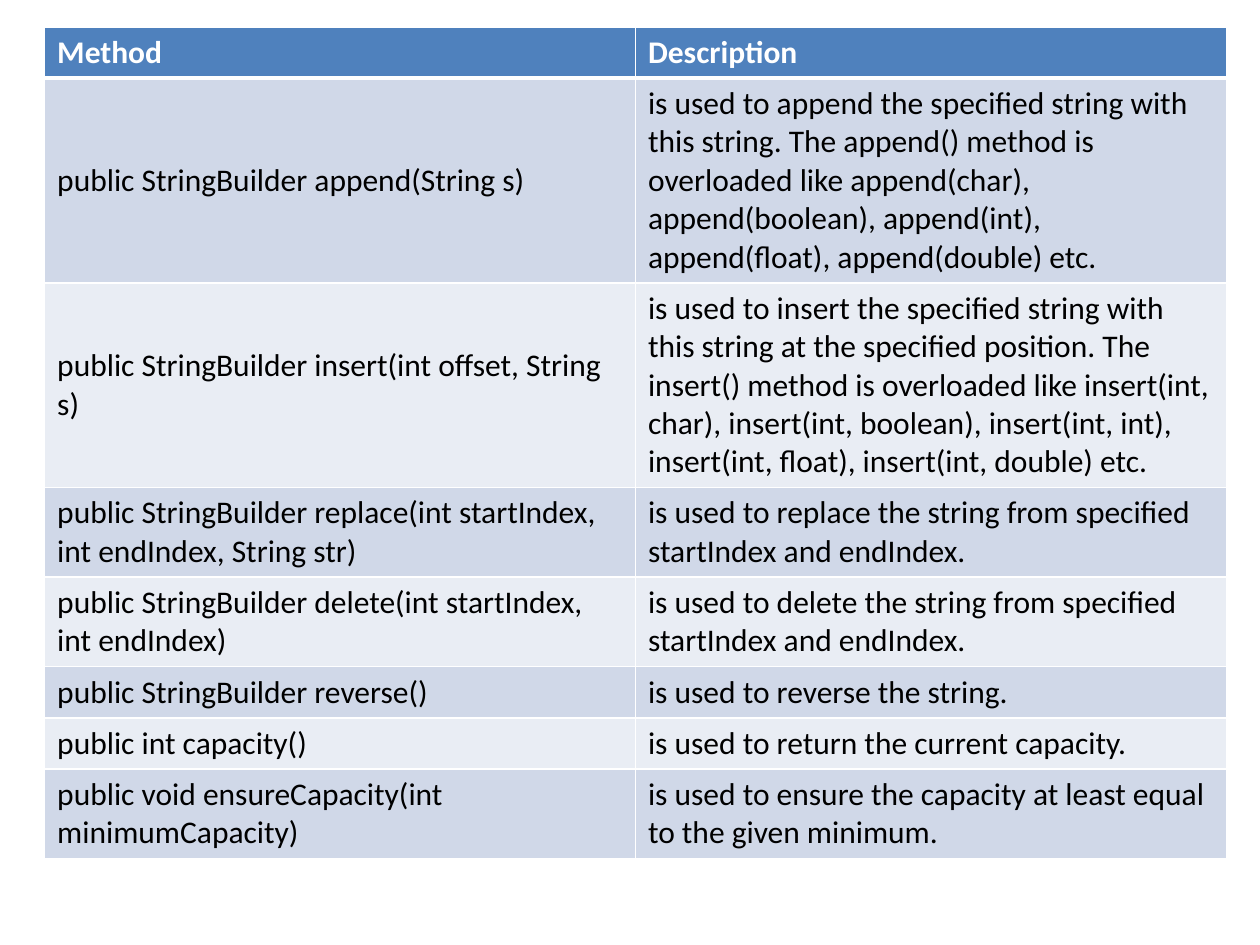
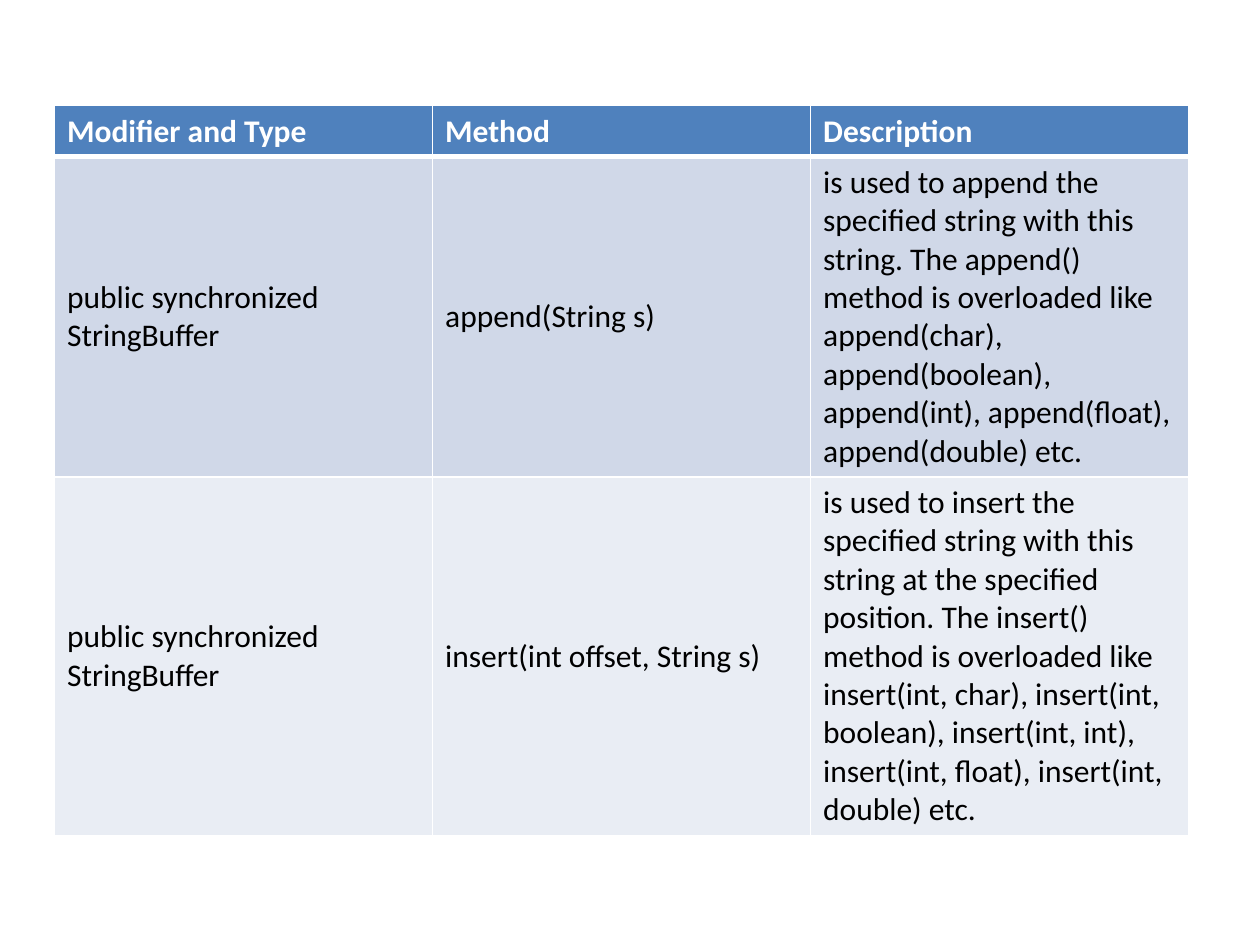
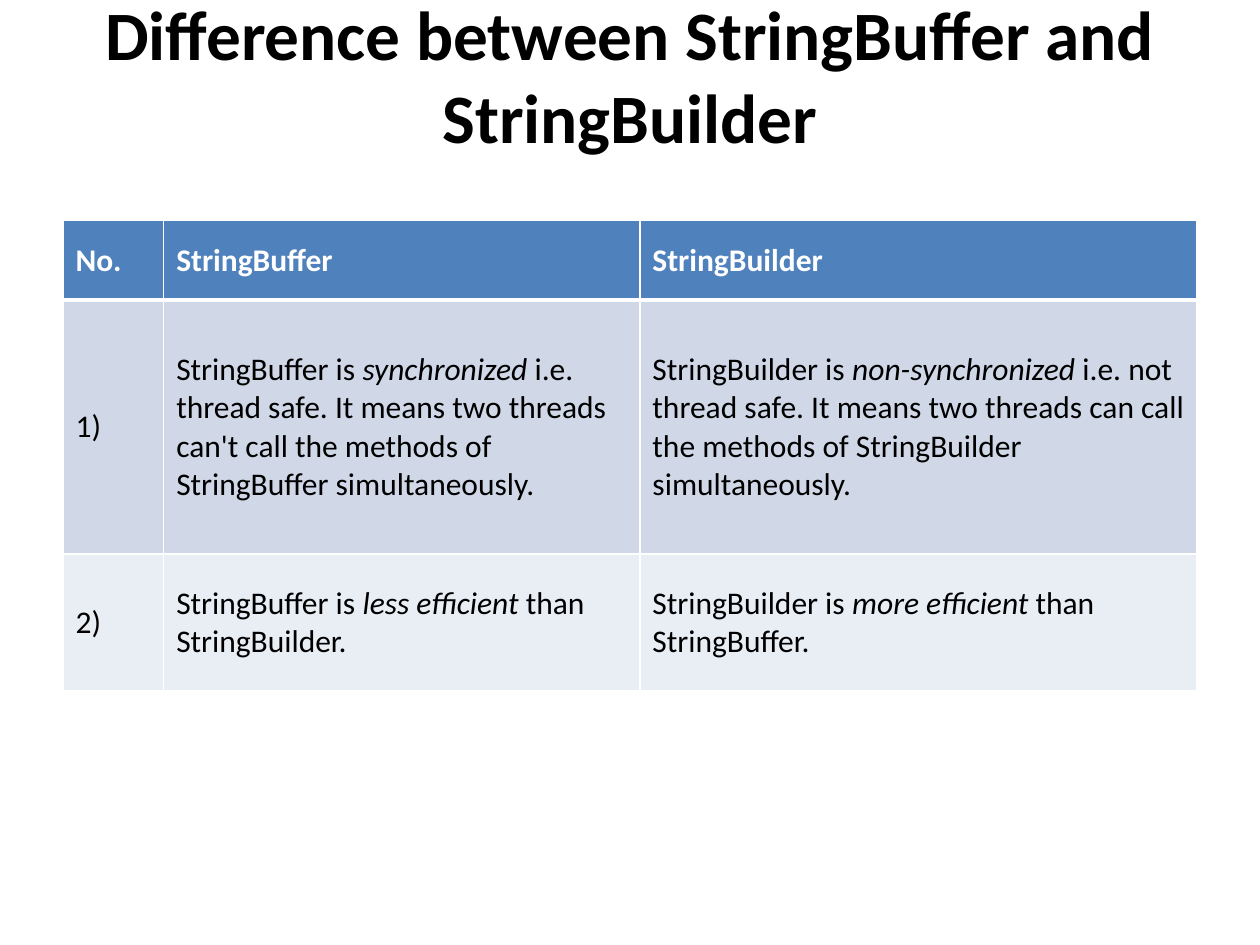
from dataclasses import dataclass

import pptx
import pptx.dml.color
import pptx.enum.text
import pptx.oxml.ns
import pptx.slide
import pptx.table
import pptx.util
from lxml import etree

Cm = pptx.util.Cm
Pt = pptx.util.Pt

COLORS = {
    "header": "4F81BD",
    "band_dark": "D0D8E8",
    "band_light": "E9EDF4",
    "white": "FFFFFF",
    "black": "000000",
}
FONT = "Calibri"
BODY_SIZE = 18
TITLE_SIZE = 39.6
THIN, THICK = 1, 3
ROW_HEIGHT = 1.03

APPEND_TEXT = (
    "is used to append the specified string with this string. The append() method is "
    "overloaded like append(char), append(boolean), append(int), append(float), "
    "append(double) etc."
)
INSERT_TEXT = (
    "is used to insert the specified string with this string at the specified position. "
    "The insert() method is overloaded like insert(int, char), insert(int, boolean), "
    "insert(int, int), insert(int, float), insert(int, double) etc."
)


@dataclass
class TableSpec:
    """Lengths are in centimetres; *asterisks* in a cell enclose italics."""
    left: float
    top: float
    height: float
    col_widths: list[float]
    row_heights: list[float]
    rows: list[list[str]]


BUILDER_METHODS = TableSpec(
    0.9, 0.54, 16.56, [11.91] * 2, [ROW_HEIGHT] * 8,
    [
        ["Method", "Description"],
        ["public StringBuilder append(String s)", APPEND_TEXT],
        ["public StringBuilder insert(int offset, String s)", INSERT_TEXT],
        ["public StringBuilder replace(int startIndex, int endIndex, String str)",
         "is used to replace the string from specified startIndex and endIndex."],
        ["public StringBuilder delete(int startIndex, int endIndex)",
         "is used to delete the string from specified startIndex and endIndex."],
        ["public StringBuilder reverse()", "is used to reverse the string."],
        ["public int capacity()", "is used to return the current capacity."],
        ["public void ensureCapacity(int minimumCapacity)",
         "is used to ensure the capacity at least equal to the given minimum."],
    ],
)
BUFFER_METHODS = TableSpec(
    1.1, 2.13, 14.5, [7.62] * 3, [ROW_HEIGHT] * 3,
    [
        ["Modifier and Type", "Method", "Description"],
        ["public synchronized StringBuffer", "append(String s)", APPEND_TEXT],
        ["public synchronized StringBuffer", "insert(int offset, String s)", INSERT_TEXT],
    ],
)
DIFFERENCES = TableSpec(
    1.27, 4.45, 9.47, [2.03, 9.6, 11.23], [1.6, 5.12, 2.76],
    [
        ["No.", "StringBuffer", "StringBuilder"],
        ["1)",
         "StringBuffer is *synchronized* i.e. thread safe. It means two threads can't call "
         "the methods of StringBuffer simultaneously.",
         "StringBuilder is *non-synchronized* i.e. not thread safe. It means two threads can "
         "call the methods of StringBuilder simultaneously."],
        ["2)",
         "StringBuffer is *less efficient* than StringBuilder.",
         "StringBuilder is *more efficient* than StringBuffer."],
    ],
)


def rgb(name: str) -> pptx.dml.color.RGBColor:
    return pptx.dml.color.RGBColor.from_string(COLORS[name])


def style_font(font, size: float, color: str, bold: bool) -> None:
    font.name = FONT
    font.size = Pt(size)
    font.bold = bold
    font.color.rgb = rgb(color)


def set_borders(cell, top: float, bottom: float) -> None:
    qn = pptx.oxml.ns.qn
    tc_pr = cell._tc.get_or_add_tcPr()
    for side, width in (("L", THIN), ("R", THIN), ("T", top), ("B", bottom)):
        ln = etree.SubElement(tc_pr, qn(f"a:ln{side}"), w=str(Pt(width)))
        fill = etree.SubElement(ln, qn("a:solidFill"))
        etree.SubElement(fill, qn("a:srgbClr"), val=COLORS["white"])


def fill_cell(cell, text: str, row: int) -> None:
    header = row == 0
    set_borders(cell, THICK if row == 1 else THIN, THICK if header else THIN)
    cell.fill.solid()
    band = "band_dark" if row % 2 else "band_light"
    cell.fill.fore_color.rgb = rgb("header" if header else band)
    cell.vertical_anchor = pptx.enum.text.MSO_ANCHOR.MIDDLE
    p = cell.text_frame.paragraphs[0]
    for i, part in enumerate(text.split("*")):
        r = p.add_run()
        r.text = part
        style_font(r.font, BODY_SIZE, "white" if header else "black", header)
        r.font.italic = i % 2 == 1


def draw_table(slide: pptx.slide.Slide, spec: TableSpec) -> None:
    frame = slide.shapes.add_table(
        len(spec.rows), len(spec.col_widths), Cm(spec.left), Cm(spec.top),
        Cm(sum(spec.col_widths)), Cm(spec.height))
    table = frame.table
    for column, width in zip(table.columns, spec.col_widths):
        column.width = Cm(width)
    for row, height in zip(table.rows, spec.row_heights):
        row.height = Cm(height)
    frame.height = Cm(spec.height)
    for i, texts in enumerate(spec.rows):
        for j, text in enumerate(texts):
            fill_cell(table.cell(i, j), text, i)


def draw_title(slide: pptx.slide.Slide, text: str) -> None:
    sp = slide.shapes.add_textbox(Cm(1.27), Cm(0.76), Cm(22.86), Cm(3.18))
    tf = sp.text_frame
    tf.word_wrap = True
    tf.vertical_anchor = pptx.enum.text.MSO_ANCHOR.MIDDLE
    tf.margin_bottom = Cm(1.83)  # lifts the centred lines above the table
    tf.text = text
    p = tf.paragraphs[0]
    p.alignment = pptx.enum.text.PP_ALIGN.CENTER
    style_font(p.runs[0].font, TITLE_SIZE, "black", True)


def main() -> None:
    prs = pptx.Presentation()
    prs.slide_width, prs.slide_height = Cm(25.4), Cm(19.05)
    for spec in (BUILDER_METHODS, BUFFER_METHODS, DIFFERENCES):
        slide = prs.slides.add_slide(prs.slide_layouts[6])
        if spec is DIFFERENCES:
            draw_title(slide, "Difference between StringBuffer and StringBuilder")
        draw_table(slide, spec)
    prs.save("out.pptx")


if __name__ == "__main__":
    main()
